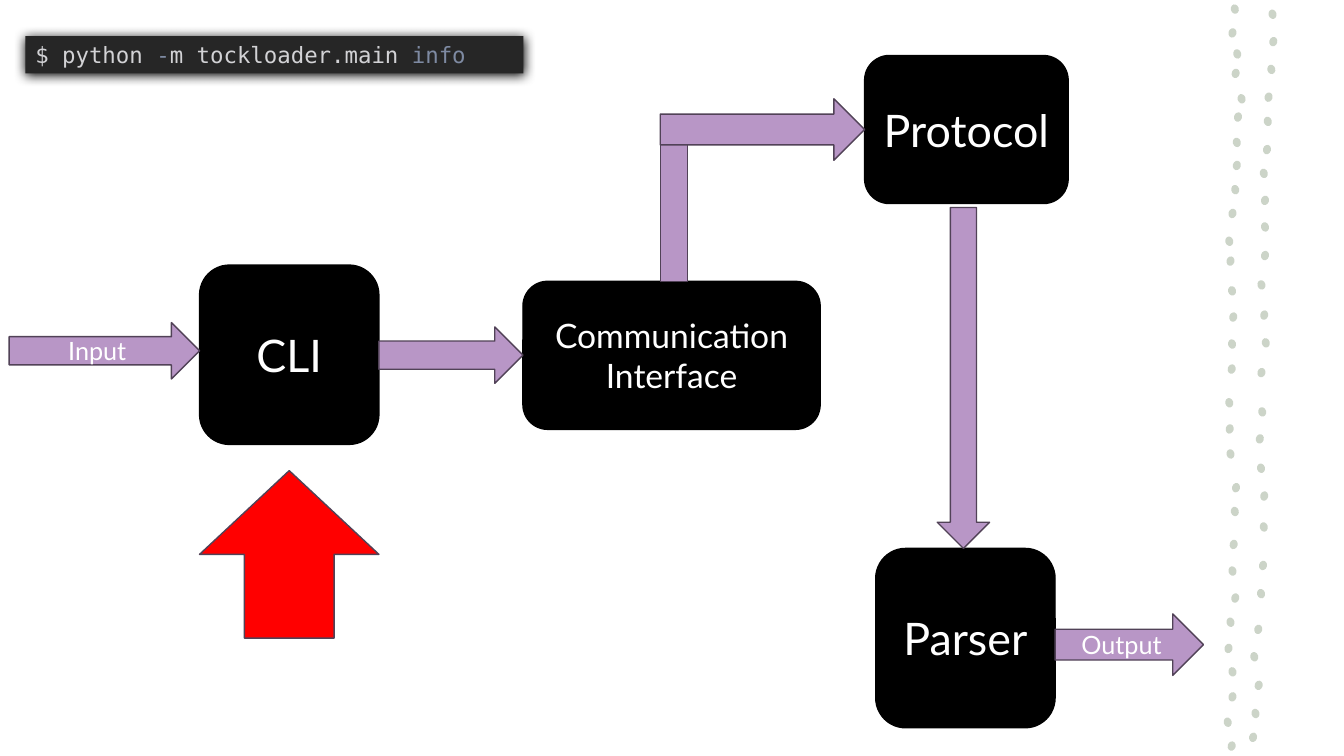
from lxml import etree
from pptx import Presentation
from pptx.dml.color import RGBColor
from pptx.enum.shapes import MSO_SHAPE
from pptx.enum.text import MSO_ANCHOR, MSO_AUTO_SIZE, PP_ALIGN
from pptx.oxml import parse_xml
from pptx.util import Cm, Pt

RECT, ROUND, OVAL = MSO_SHAPE.RECTANGLE, MSO_SHAPE.ROUNDED_RECTANGLE, MSO_SHAPE.OVAL
RIGHT, DOWN, UP = MSO_SHAPE.RIGHT_ARROW, MSO_SHAPE.DOWN_ARROW, MSO_SHAPE.UP_ARROW
CENTER, LEFT = PP_ALIGN.CENTER, PP_ALIGN.LEFT
MIDDLE, TOP = MSO_ANCHOR.MIDDLE, MSO_ANCHOR.TOP
GROW = MSO_AUTO_SIZE.SHAPE_TO_FIT_TEXT

BLACK, WHITE, RED = "000000", "FFFFFF", "FF0000"
PURPLE, PLUM, SAGE = "B896C6", "514257", "CCD4C8"
TERMINAL, LIGHT, SLATE = "262626", "D2D2D5", "7E8AA2"

# Centres of the dots, measured from the left edge of the border
BORDER = (30.5, 0, 3.37, 19.05)
DOTS = [
    # left column
    (0.62, 0.23), (0.56, 0.83), (0.68, 1.36), (0.64, 1.85), (0.79, 2.49),
    (0.7, 2.95), (0.67, 3.59), (0.67, 4.17), (0.63, 4.78), (0.56, 5.38),
    (0.48, 6.08), (0.51, 6.58), (0.55, 7.33), (0.58, 7.99), (0.55, 8.67),
    (0.54, 9.3), (0.48, 10.15), (0.49, 10.81), (0.51, 11.44), (0.65, 12.29),
    (0.62, 12.89), (0.59, 13.72), (0.56, 14.39), (0.63, 15.07), (0.51, 15.68),
    (0.46, 16.34), (0.56, 16.93), (0.56, 17.56), (0.44, 18.2), (0.54, 18.8),
    # right column
    (1.57, 0.36), (1.59, 1.05), (1.54, 1.75), (1.47, 2.45), (1.45, 3.06),
    (1.43, 3.77), (1.35, 4.37), (1.38, 5.05), (1.38, 5.72), (1.38, 6.44),
    (1.29, 7.18), (1.36, 7.94), (1.4, 8.64), (1.29, 9.39), (1.31, 10.38),
    (1.25, 11.06), (1.28, 11.8), (1.36, 12.5), (1.35, 13.28), (1.33, 14.25),
    (1.28, 14.96), (1.21, 15.86), (1.11, 16.55), (1.22, 17.27), (1.14, 17.98),
    (1.08, 18.58),
]


def color(value):
    return RGBColor.from_string(value)


def add_shape(s, kind, box, fill, line=None):
    sp = s.shapes.add_shape(kind, *(Cm(v) for v in box))
    sp.shadow.inherit = False
    sp.fill.solid()
    sp.fill.fore_color.rgb = color(fill)
    if line:
        sp.line.color.rgb = color(line)
        sp.line.width = Pt(1)
    else:
        sp.line.fill.background()
    return sp


def add_text(sp, parts, size, font="Lato", align=CENTER, anchor=MIDDLE):
    tf = sp.text_frame
    tf.word_wrap = True
    tf.vertical_anchor = anchor
    p = tf.paragraphs[0]
    p.alignment = align
    for text, tone in parts:
        r = p.add_run()
        r.text = text
        for name, value in {"name": font, "size": Pt(size)}.items():
            setattr(r.font, name, value)
        r.font.color.rgb = color(tone)


def add_border(s, box):
    x, y, _, _ = box
    w, h = 0.2, 0.24
    for i, (dx, dy) in enumerate(DOTS):
        dot = add_shape(s, OVAL, (x + dx - w / 2, y + dy - h / 2, w, h), SAGE)
        dot.rotation = 15 if i % 2 else -15


def add_step(s, box, label, size=32):
    add_text(add_shape(s, ROUND, box, BLACK, BLACK), [(label, WHITE)], size)


def add_arrow(s, kind, box, label="", fill=PURPLE):
    sp = add_shape(s, kind, box, fill, PLUM)
    if label:
        add_text(sp, [(label, WHITE)], 18)


def add_flow(s, box):
    x, y, w, h = box
    side, step_h = 4.52, 3.73
    cli_x, cli_y = x + 4.8, y + 5.28
    comm_x, comm_y = x + 12.95, y + 5.69
    protocol_x, protocol_w = x + 21.56, 5.13
    parser_x, parser_y = x + 21.84, y + h - side
    riser_x, bend_y = x + 16.41, y + 1.09

    # Steps
    add_step(s, (cli_x, cli_y, side, side), "CLI")
    add_step(s, (comm_x, comm_y, 7.49, step_h), "Communication Interface", 24)
    add_step(s, (protocol_x, y, protocol_w, step_h), "Protocol")
    add_step(s, (parser_x, parser_y, side, side), "Parser")

    # Arrows between them
    add_arrow(s, RIGHT, (x, y + 6.73, cli_x - x, 1.42), "Input")
    cli_right = cli_x + side
    add_arrow(s, RIGHT, (cli_right, y + 6.84, comm_x - cli_right, 1.42))
    add_arrow(s, RECT, (riser_x, y + 1.95, 0.69, comm_y - y - 1.95))
    add_arrow(s, RIGHT, (riser_x, bend_y, protocol_x - riser_x, 1.55))
    down_y = y + step_h + 0.1
    add_arrow(s, DOWN, (x + 23.39, down_y, 1.32, parser_y - down_y))
    parser_right = parser_x + side
    add_arrow(s, RIGHT, (parser_right, parser_y + 1.65, x + w - parser_right, 1.55), "Output")

    # Marker for the current step
    add_arrow(s, UP, (cli_x, cli_y + side + 0.66, side, 4.22), fill=RED)


def add_terminal(s, box):
    sp = add_shape(s, RECT, box, TERMINAL)
    command = [("$ python ", LIGHT), ("-", SLATE),
               ("m tockloader.main ", LIGHT), ("info", SLATE)]
    add_text(sp, command, 16, "DejaVu Sans Mono", LEFT, TOP)
    sp.text_frame.auto_size = GROW
    # Soft shadow below the bar
    effects = sp.element.spPr.find("{*}effectLst")
    ns = etree.QName(effects).namespace
    effects.append(parse_xml(
        f'<a:outerShdw xmlns:a="{ns}" blurRad="{Pt(8.5)}" dist="{Pt(1)}" '
        f'dir="5400000" algn="t" rotWithShape="0"><a:srgbClr val="{BLACK}"/></a:outerShdw>'))


def main():
    prs = Presentation()
    prs.slide_width, prs.slide_height = Cm(33.87), Cm(19.05)
    s = prs.slides.add_slide(prs.slide_layouts[6])
    add_border(s, BORDER)
    add_flow(s, (0.23, 1.4, 30.1, 16.94))
    add_terminal(s, (0.64, 0.91, 12.55, 0.94))
    prs.save("out.pptx")


if __name__ == "__main__":
    main()
